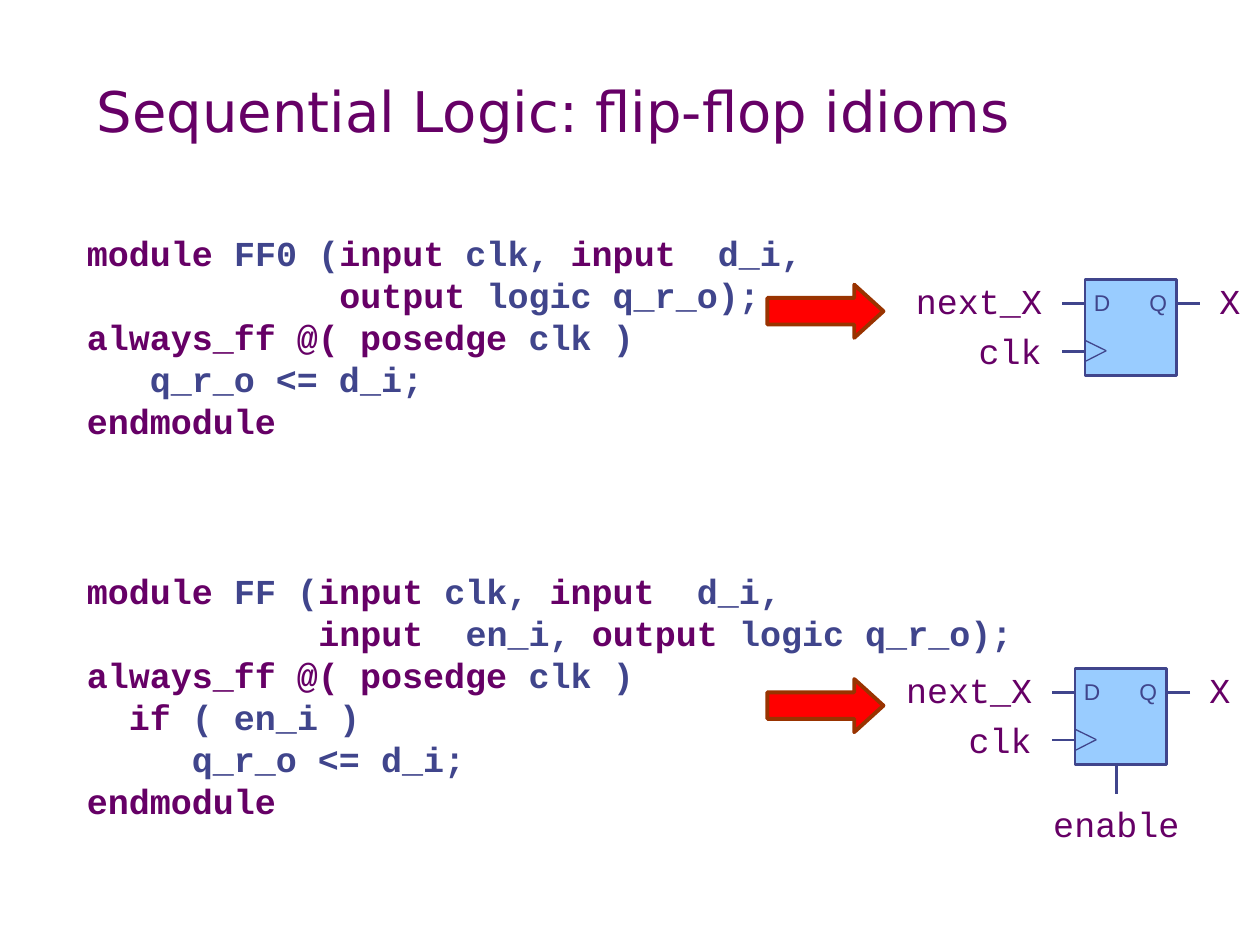
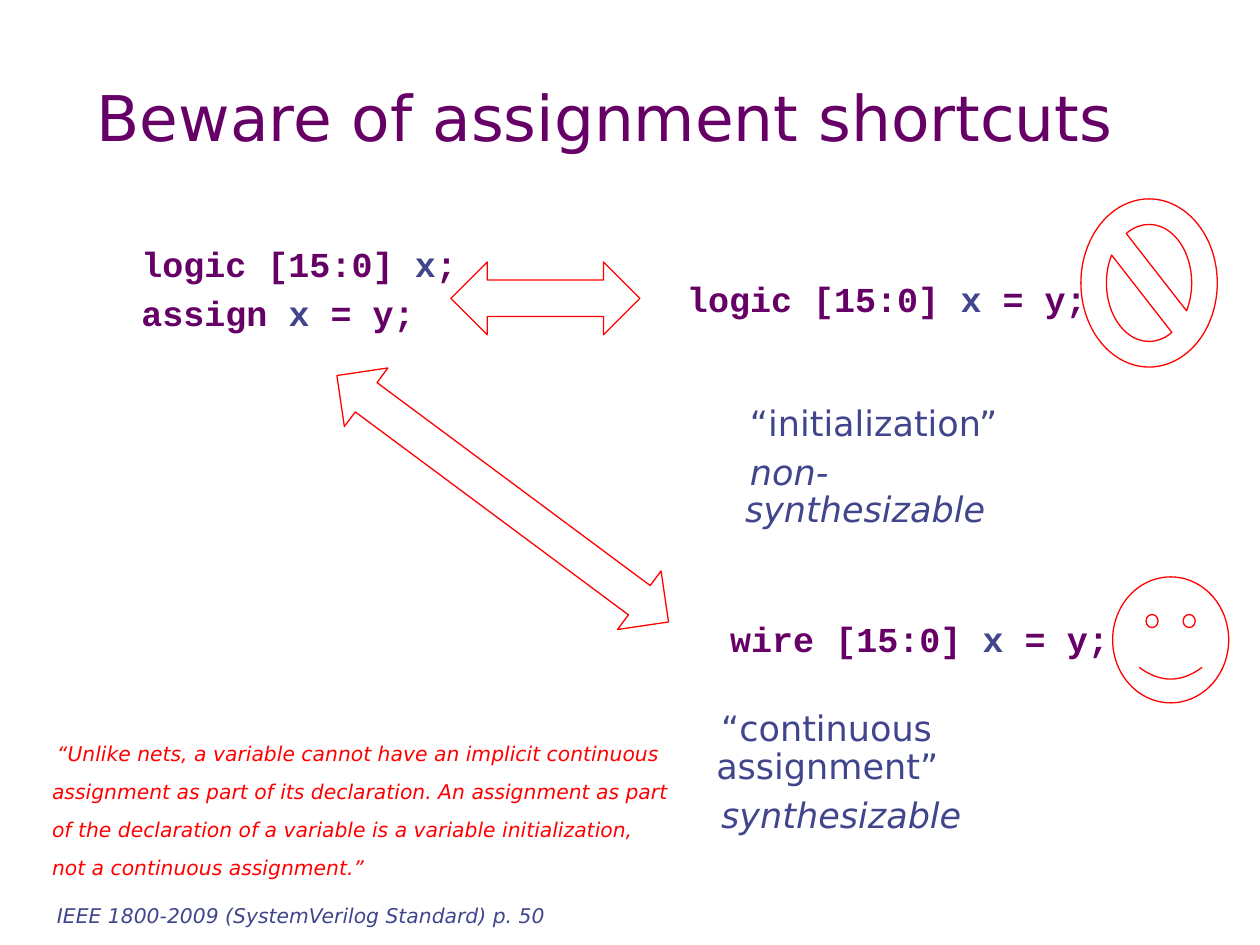
from lxml import etree
from pptx import Presentation
from pptx import util as u
from pptx.dml.color import RGBColor
from pptx.enum import shapes, text
from pptx.oxml import ns

# Shared look
PURPLE, INDIGO, RED = "660066", "40458C", "FF0000"
SKY, RUST = "99CCFF", "993300"
SANS, MONO, LABEL = "DejaVu Sans", "Courier New", "Arial"
LEFT, CENTER, RIGHT = text.PP_ALIGN.LEFT, text.PP_ALIGN.CENTER, text.PP_ALIGN.RIGHT
NOTE = dict(pitch=21.6, before=6.2, margin=0.6, indent=0.1)

FF0_CODE = [
    "*module* FF0 (*input* clk, *input*  d_i,",
    "            *output* logic q_r_o);",
    "*always_ff @( posedge* clk )",
    "   q_r_o <= d_i;",
    "*endmodule*",
]
FF_CODE = [
    "*module* FF (*input* clk, *input*  d_i,",
    "           *input*  en_i, *output* logic q_r_o);",
    "*always_ff @( posedge* clk )",
    "  *if* ( en_i )",
    "     q_r_o <= d_i;",
    "*endmodule*",
]


def color(hex_string):
    return RGBColor.from_string(hex_string)


def box(left, top, width, height):
    return [u.Cm(length) for length in (left, top, width, height)]


# Element builders
def add_text(parent, place, lines, size=20, font=SANS, fill=INDIGO, accent=PURPLE,
             bold=False, italics=(), raised=0, align=LEFT, bottom=False, wrap=True,
             inset=(0.25, 0.13), pitch=None, before=0, margin=0, indent=0):
    """Write one paragraph per line; words between asterisks take the accent colour."""
    frame = parent.add_textbox(*box(*place)).text_frame
    frame.word_wrap = wrap
    frame.vertical_anchor = text.MSO_ANCHOR.BOTTOM if bottom else text.MSO_ANCHOR.TOP
    frame.margin_left = frame.margin_right = u.Cm(inset[0])
    frame.margin_top = frame.margin_bottom = u.Cm(inset[1])
    for number, line in enumerate(lines):
        paragraph = frame.add_paragraph() if number else frame.paragraphs[0]
        paragraph.alignment = align
        if pitch:
            paragraph.line_spacing = u.Pt(pitch)
        if number and before:
            paragraph.space_before = u.Pt(before)
        if margin:
            properties = paragraph._p.get_or_add_pPr()
            properties.set("marL", str(u.Cm(margin)))
            properties.set("indent", str(u.Cm(indent)))
        for position, words in enumerate(line.split("*")):
            if not words:
                continue
            run = paragraph.add_run()
            run.text = words
            run.font.name, run.font.size = font, u.Pt(size)
            run.font.bold, run.font.italic = bold, number in italics
            run.font.color.rgb = color(accent if position % 2 else fill)
            if raised:
                run._r.get_or_add_rPr().set("baseline", str(raised * 1000))


def add_title(slide, words, size, height, base):
    add_text(slide.shapes, (1.7, base - height, 21.6, height), [words],
             size=size, fill=PURPLE, bottom=True)


def add_outline(parent, kind, place, line=RED, weight=0.75, fill=None, turn=0):
    outline = parent.add_shape(kind, *box(*place))
    outline.shadow.inherit = False
    outline.rotation = turn
    outline.line.color.rgb, outline.line.width = color(line), u.Pt(weight)
    if fill:
        outline.fill.solid()
        outline.fill.fore_color.rgb = color(fill)
    else:
        outline.fill.background()
    return outline


def add_wire(parent, start, end, weight=1.5):
    wire = parent.add_connector(shapes.MSO_CONNECTOR.STRAIGHT, *box(*start, *end))
    wire.line.color.rgb, wire.line.width = color(INDIGO), u.Pt(weight)
    etree.SubElement(wire._element.spPr, ns.qn("a:effectLst"))


def add_code(slide, place, lines, **layout):
    add_text(slide.shapes, place, lines, font=MONO, bold=True, **layout)


def add_signal(parent, name, left, top, width, align):
    add_text(parent, (left, top, width, 1.12), [name], font=MONO, fill=PURPLE,
             align=align, wrap=False, pitch=24)


def add_flip_flop(slide, x, y, enable=False):
    parts = slide.shapes.add_group_shape().shapes
    add_outline(parts, shapes.MSO_SHAPE.RECTANGLE, (x, y, 1.85, 1.93),
                line=INDIGO, weight=1.5, fill=SKY)
    for pin, offset in (("D", 0.18), ("Q", 1.3)):
        add_text(parts, (x + offset, y + 0.19, 0.46, 0.56), [pin], size=13,
                 font=LABEL, inset=(0, 0), wrap=False)
    # Data and clock wires, then the clock wedge
    for offset, depth in ((0, 0.48), (2.32, 0.48), (0, 1.44)):
        add_wire(parts, (x + offset, y + depth), (x + offset - 0.47, y + depth))
    for depth in (1.22, 1.65):
        add_wire(parts, (x, y + depth), (x + 0.43, y + 1.43), weight=0.75)
    add_signal(parts, "X", x + 2.46, y - 0.13, 0.91, LEFT)
    add_signal(parts, "next_X", x - 3.66, y - 0.13, 3.05, RIGHT)
    add_signal(parts, "clk", x - 2.4, y + 0.88, 1.78, RIGHT)
    if enable:
        add_wire(parts, (x + 0.84, y + 1.9), (x + 0.84, y + 2.52))
        add_signal(parts, "enable", x - 0.69, y + 2.57, 3.05, CENTER)


# Slides
def build_idioms(slide):
    add_title(slide, "Sequential Logic: flip-flop idioms", 32, 1.5, 3.02)
    add_flip_flop(slide, 21.87, 5.64)
    add_flip_flop(slide, 21.67, 13.48, enable=True)
    for top in (5.74, 13.69):
        arrow = add_outline(slide.shapes, shapes.MSO_SHAPE.RIGHT_ARROW,
                            (15.47, top, 2.34, 1.07), line=RUST, weight=2.25, fill=RED)
        arrow.adjustments[1] = 0.55
    for lines, top, width, height in ((FF0_CODE, 4.24, 15.82, 5.08),
                                      (FF_CODE, 11.05, 21.13, 5.94)):
        add_code(slide, (1.32, top, width, height), lines, inset=(0.43, 0.43), pitch=24)


def build_shortcuts(slide):
    add_title(slide, "Beware of assignment shortcuts", 36, 2.34, 3.23)
    # Declarations
    add_code(slide, (1.9, 4.85, 8.89, 2), ["*logic [15:0] *x*;*", "*assign *x* = y;*"], **NOTE)
    add_code(slide, (12.9, 5.55, 9.32, 1.1), ["*logic [15:0] *x* = y;*"], **NOTE)
    add_code(slide, (13.77, 12.4, 9.32, 1.1), ["*wire [15:0] *x* = y;*"], **NOTE)
    # Equivalences and verdicts
    kinds = shapes.MSO_SHAPE
    for kind, place, turn in (
        (kinds.LEFT_RIGHT_ARROW, (9.09, 5.28, 3.81, 1.47), 0),
        (kinds.LEFT_RIGHT_ARROW, (5.97, 9.32, 8.33, 1.47), 36.6),
        (kinds.NO_SYMBOL, (21.79, 4.01, 2.75, 3.39), 0),
        (kinds.SMILEY_FACE, (22.43, 11.63, 2.34, 2.54), 0),
    ):
        add_outline(slide.shapes, kind, place, turn=turn)
    # Meanings
    add_text(slide.shapes, (14.17, 8.05, 6.81, 2.01),
             ["“initialization”", "non-synthesizable"], italics=(1,), **NOTE)
    add_text(slide.shapes, (13.59, 14.2, 9.47, 2.01),
             ["“continuous assignment”", "synthesizable"], italics=(1,), **NOTE)
    # Quotation from the standard
    quotation = ("*“Unlike nets, a variable cannot have an implicit continuous assignment "
                 "as part of its declaration. An assignment as part of the declaration of "
                 "a variable is a variable initialization, not a continuous assignment.”*")
    add_text(slide.shapes, (0.2, 14.82, 13.54, 4.2),
             [quotation, "IEEE 1800-2009 (SystemVerilog Standard) p. 50"],
             accent=RED, italics=(0, 1), raised=30, **NOTE)


def main():
    deck = Presentation()
    deck.slide_width, deck.slide_height = u.Cm(25.4), u.Cm(19.05)
    for build in (build_idioms, build_shortcuts):
        build(deck.slides.add_slide(deck.slide_layouts[6]))
    deck.save("out.pptx")


if __name__ == "__main__":
    main()
